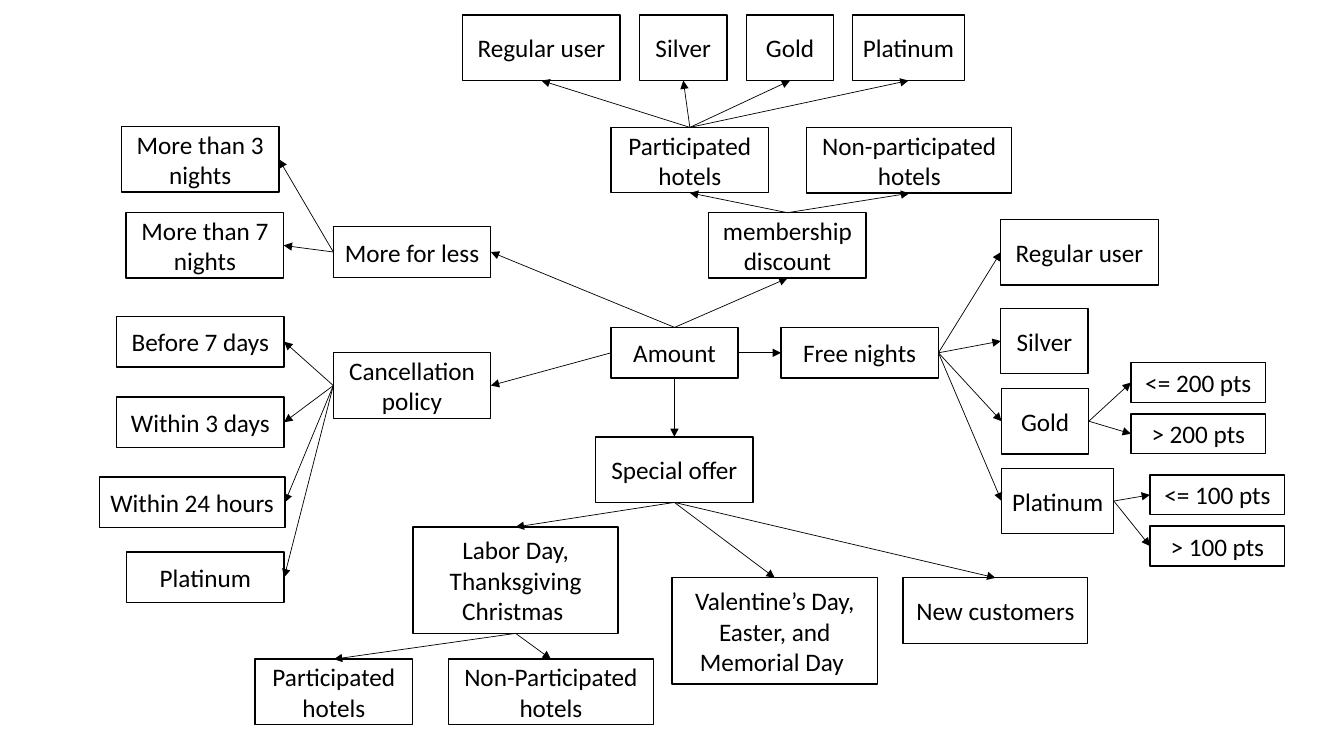
from lxml import etree
from pptx import Presentation
from pptx.dml.color import RGBColor
from pptx.enum.shapes import MSO_CONNECTOR, MSO_SHAPE
from pptx.enum.text import MSO_ANCHOR, PP_ALIGN
from pptx.oxml.ns import qn
from pptx.util import Cm, Pt

RECTANGLE = MSO_SHAPE.RECTANGLE
STRAIGHT = MSO_CONNECTOR.STRAIGHT
MIDDLE = MSO_ANCHOR.MIDDLE
CENTER = PP_ALIGN.CENTER
TOP, LEFT, BOTTOM, RIGHT = range(4)
BLACK = "000000"

# Box sizes in cm: width, height
FLAT, NORMAL, WIDE = (3.97, 1.28), (3.97, 1.65), (5.17, 1.65)
SMALL, MEDIUM = (2.2, 1.65), (2.83, 1.65)
DAYS, HOLIDAY, POINTS = (4.22, 1.28), (5.17, 2.68), (3.4, 1)

# Boxes: key -> text, left, top (cm), size
BOXES = {
    "amount": ("Amount", 15.4, 8.25, (3.2, 1.28)),
    "membership": ("membership discount", 17.86, 5.36, NORMAL),
    "member in": ("Participated hotels", 15.4, 3.21, NORMAL),
    "member out": ("Non-participated hotels", 20.33, 3.22, WIDE),
    "member regular": ("Regular user", 11.66, 0.38, NORMAL),
    "member silver": ("Silver", 16.12, 0.38, SMALL),
    "member gold": ("Gold", 18.81, 0.38, SMALL),
    "member platinum": ("Platinum", 21.48, 0.38, MEDIUM),
    "free": ("Free nights", 19.68, 8.25, FLAT),
    "free regular": ("Regular user", 25.22, 5.53, NORMAL),
    "free silver": ("Silver", 25.22, 7.77, SMALL),
    "free gold": ("Gold", 25.24, 9.79, SMALL),
    "free platinum": ("Platinum", 25.24, 11.8, MEDIUM),
    "gold low": ("<= 200 pts", 28.5, 9.14, POINTS),
    "gold high": ("> 200 pts", 28.5, 10.43, POINTS),
    "platinum low": ("<= 100 pts", 28.98, 11.97, POINTS),
    "platinum high": ("> 100 pts", 28.98, 13.26, POINTS),
    "more": ("More for less", 8.4, 5.71, FLAT),
    "more 3": ("More than 3 nights", 3.06, 3.19, NORMAL),
    "more 7": ("More than 7 nights", 3.18, 5.36, NORMAL),
    "cancel": ("Cancellation policy", 8.4, 8.89, NORMAL),
    "cancel 7": ("Before 7 days", 2.94, 7.97, DAYS),
    "cancel 3": ("Within 3 days", 2.94, 10, DAYS),
    "cancel 24": ("Within 24 hours", 2.51, 12.02, (4.67, 1.28)),
    "cancel platinum": ("Platinum", 3.19, 13.91, FLAT),
    "offer": ("Special offer", 15.01, 11.01, NORMAL),
    "labor": ("Labor Day, Thanksgiving Christmas ", 10.41, 13.28, HOLIDAY),
    "valentine": ("Valentine’s Day, Easter, and Memorial Day ", 16.94, 14.56, HOLIDAY),
    "new": ("New customers", 22.76, 14.56, (4.65, 1.65)),
    "labor in": ("Participated hotels", 6.43, 16.61, NORMAL),
    "labor out": ("Non-Participated hotels", 11.3, 16.61, WIDE),
}

# Branches: parent, side it leaves, side it enters, children
BRANCHES = [
    ("amount", TOP, BOTTOM, ["membership"]),
    ("amount", TOP, RIGHT, ["more"]),
    ("amount", LEFT, RIGHT, ["cancel"]),
    ("amount", RIGHT, LEFT, ["free"]),
    ("amount", BOTTOM, TOP, ["offer"]),
    ("membership", TOP, BOTTOM, ["member in", "member out"]),
    ("member in", TOP, BOTTOM,
     ["member regular", "member silver", "member gold", "member platinum"]),
    ("free", RIGHT, LEFT,
     ["free regular", "free silver", "free gold", "free platinum"]),
    ("free gold", RIGHT, LEFT, ["gold low", "gold high"]),
    ("free platinum", RIGHT, LEFT, ["platinum low", "platinum high"]),
    ("more", LEFT, RIGHT, ["more 3", "more 7"]),
    ("cancel", LEFT, RIGHT,
     ["cancel 7", "cancel 3", "cancel 24", "cancel platinum"]),
    ("offer", BOTTOM, TOP, ["labor", "valentine", "new"]),
    ("labor", BOTTOM, TOP, ["labor in", "labor out"]),
]


def paint(color_format, hex_color):
    color_format.rgb = RGBColor.from_string(hex_color)


def add_box(page, text, left, top, size):
    box = page.shapes.add_shape(RECTANGLE, Cm(left), Cm(top), *map(Cm, size))
    box.shadow.inherit = False
    box.fill.background()
    paint(box.line.color, BLACK)
    box.line.width = Pt(1)
    frame = box.text_frame
    frame.word_wrap = True
    frame.vertical_anchor = MIDDLE
    frame.text = text
    para = frame.paragraphs[0]
    para.alignment = CENTER
    font = para.runs[0].font
    font.name, font.size = "Calibri", Pt(18)
    paint(font.color, BLACK)
    return box


def add_arrow(page, parent, out_side, child, in_side):
    arrow = page.shapes.add_connector(STRAIGHT, 0, 0, 0, 0)
    arrow.begin_connect(parent, out_side)
    arrow.end_connect(child, in_side)
    paint(arrow.line.color, BLACK)
    arrow.line.width = Pt(0.5)
    properties = arrow.line._get_or_add_ln()
    etree.SubElement(properties, qn("a:tailEnd"), type="triangle")
    etree.SubElement(properties.getparent(), qn("a:effectLst"))


def main():
    deck = Presentation()
    deck.slide_width, deck.slide_height = Cm(33.87), Cm(19.05)
    page = deck.slides.add_slide(deck.slide_layouts[6])

    # Boxes first, then the arrows that join them
    boxes = {key: add_box(page, *row) for key, row in BOXES.items()}
    for parent, out_side, in_side, children in BRANCHES:
        for child in children:
            add_arrow(page, boxes[parent], out_side, boxes[child], in_side)

    deck.save("out.pptx")


if __name__ == "__main__":
    main()
